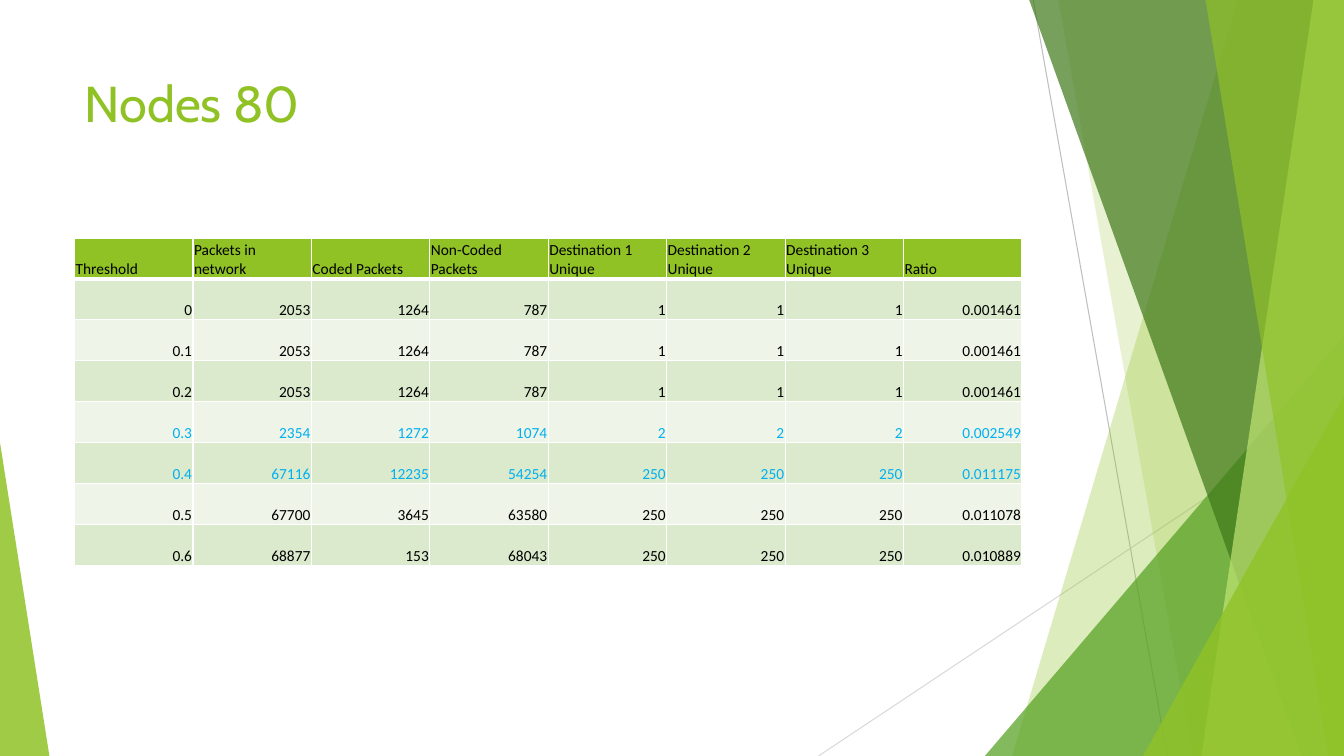
from dataclasses import dataclass

import pptx
import pptx.dml.color
import pptx.enum.shapes
import pptx.enum.text
import pptx.oxml
import pptx.oxml.ns
import pptx.util
from lxml import etree

COLORS = {
    "lime": "90C226", "green": "54A021", "forest": "3F7819", "pale": "C0E474",
    "grey": "BFBFBF", "silver": "D9D9D9", "band": "DBE9CD", "light": "EEF4E8",
    "black": "000000", "blue": "00B0F0", "white": "FFFFFF",
}
ALIGN = pptx.enum.text.PP_ALIGN
ANCHOR = pptx.enum.text.MSO_ANCHOR
WIDTH, HEIGHT = pptx.util.Inches(13.333), pptx.util.Inches(7.5)


@dataclass
class Ray:
    """Thin line; ends in percent of the slide."""
    x1: float
    y1: float
    x2: float
    y2: float
    color: str


@dataclass
class Shard:
    """Full-height area from a slanted left edge to the slide's right edge."""
    top_x: float
    bottom_x: float
    color: str
    alpha: int


@dataclass
class Wedge:
    """Right triangle standing on the slide's bottom edge."""
    left: float
    top: float
    width: float
    apex: int
    color: str
    alpha: int


RAYS = [Ray(76.88, 0, 86.85, 100, "grey"), Ray(100, 53.73, 60.9, 100, "silver")]
FACETS = [
    Shard(92.1, 75.3, "lime", 30),
    Shard(78.75, 88.73, "lime", 20),
    Wedge(73.28, 44.4, 26.72, 1, "green", 72),
    Shard(76.58, 96.83, "forest", 70),
    Shard(97.73, 89.4, "pale", 70),
    Shard(89.7, 98.85, "lime", 65),
    Wedge(85.05, 52.4, 14.95, 1, "lime", 80),
    Wedge(0, 58.53, 3.68, 0, "lime", 85),
]

HEADER = ["Threshold", "Packets in network", "Coded Packets", "Non-Coded Packets",
          "Destination 1 Unique", "Destination 2 Unique", "Destination 3 Unique", "Ratio"]
RESULTS = [
    ["0", "2053", "1264", "787", "1", "1", "1", "0.001461"],
    ["0.1", "2053", "1264", "787", "1", "1", "1", "0.001461"],
    ["0.2", "2053", "1264", "787", "1", "1", "1", "0.001461"],
    ["0.3", "2354", "1272", "1074", "2", "2", "2", "0.002549"],
    ["0.4", "67116", "12235", "54254", "250", "250", "250", "0.011175"],
    ["0.5", "67700", "3645", "63580", "250", "250", "250", "0.011078"],
    ["0.6", "68877", "153", "68043", "250", "250", "250", "0.010889"],
]
HIGHLIGHTED = {"0.3", "0.4"}


def x(percent: float) -> int:
    return round(WIDTH * percent / 100)


def y(percent: float) -> int:
    return round(HEIGHT * percent / 100)


def rgb(name: str) -> pptx.dml.color.RGBColor:
    return pptx.dml.color.RGBColor.from_string(COLORS[name])


def write(tf, text: str, *, size: float, font: str, color: str,
          align=ALIGN.LEFT, anchor=ANCHOR.TOP) -> None:
    tf.word_wrap = True
    tf.vertical_anchor = anchor
    p = tf.paragraphs[0]
    p.alignment = align
    r = p.add_run()
    r.text = text
    r.font.size = pptx.util.Pt(size)
    r.font.name = font
    r.font.color.rgb = rgb(color)


def draw_ray(slide, ray: Ray) -> None:
    line = slide.shapes.add_connector(
        pptx.enum.shapes.MSO_CONNECTOR.STRAIGHT, x(ray.x1), y(ray.y1), x(ray.x2), y(ray.y2))
    line.line.color.rgb = rgb(ray.color)
    line.line.width = pptx.util.Pt(0.75)
    etree.SubElement(line._element.spPr, pptx.oxml.ns.qn("a:effectLst"))


def draw_facet(slide, facet: Shard | Wedge) -> None:
    if isinstance(facet, Shard):
        builder = slide.shapes.build_freeform(x(facet.top_x), 0)
        builder.add_line_segments(
            [(WIDTH, 0), (WIDTH, HEIGHT), (x(facet.bottom_x), HEIGHT)], close=True)
        sp = builder.convert_to_shape()
    else:
        sp = slide.shapes.add_shape(
            pptx.enum.shapes.MSO_SHAPE.ISOSCELES_TRIANGLE,
            x(facet.left), y(facet.top), x(facet.width), y(100 - facet.top))
        sp.adjustments[0] = facet.apex
    sp.shadow.inherit = False
    sp.line.fill.background()
    sp.fill.solid()
    sp.fill.fore_color.rgb = rgb(facet.color)
    color = sp._element.spPr.find(".//" + pptx.oxml.ns.qn("a:srgbClr"))
    etree.SubElement(color, pptx.oxml.ns.qn("a:alpha"), val=str(facet.alpha * 1000))


def add_borders(cell, top: float, bottom: float) -> None:
    tc_pr = cell._tc.get_or_add_tcPr()
    for side, points in {"L": 1, "R": 1, "T": top, "B": bottom}.items():
        tc_pr.append(pptx.oxml.parse_xml(
            f'<a:ln{side} {pptx.oxml.ns.nsdecls("a")} w="{pptx.util.Pt(points)}">'
            f'<a:solidFill><a:srgbClr val="{COLORS["white"]}"/></a:solidFill></a:ln{side}>'))


def draw_table(slide) -> None:
    rows = [HEADER] + RESULTS
    width, height = x(70.5), y(43.33)
    table = slide.shapes.add_table(
        len(rows), len(HEADER), x(5.55), y(31.47), width, height).table
    for column in table.columns:
        column.width = width // len(HEADER)
    for i, values in enumerate(rows):
        table.rows[i].height = height // len(rows)
        fill = "lime" if i == 0 else "band" if i % 2 else "light"
        color = "blue" if values[0] in HIGHLIGHTED else "black"
        for j, value in enumerate(values):
            cell = table.cell(i, j)
            cell.margin_left = cell.margin_right = cell.margin_top = pptx.util.Inches(0.01)
            cell.margin_bottom = 0
            add_borders(cell, top=3 if i == 1 else 1, bottom=3 if i == 0 else 1)
            cell.fill.solid()
            cell.fill.fore_color.rgb = rgb(fill)
            write(cell.text_frame, value, size=11, font="Calibri", color=color,
                  align=ALIGN.RIGHT if i else ALIGN.LEFT)
            cell.vertical_anchor = ANCHOR.BOTTOM


def main() -> None:
    prs = pptx.Presentation()
    prs.slide_width, prs.slide_height = WIDTH, HEIGHT
    slide = prs.slides.add_slide(prs.slide_layouts[5])
    for ray in RAYS:
        draw_ray(slide, ray)
    for facet in FACETS:
        draw_facet(slide, facet)
    title = slide.shapes.title
    title.left, title.top, title.width, title.height = x(5.55), y(8.93), x(70.5), y(19.2)
    write(title.text_frame, "Nodes 80", size=36, font="Cabin", color="lime")
    draw_table(slide)
    prs.save("out.pptx")


if __name__ == "__main__":
    main()
